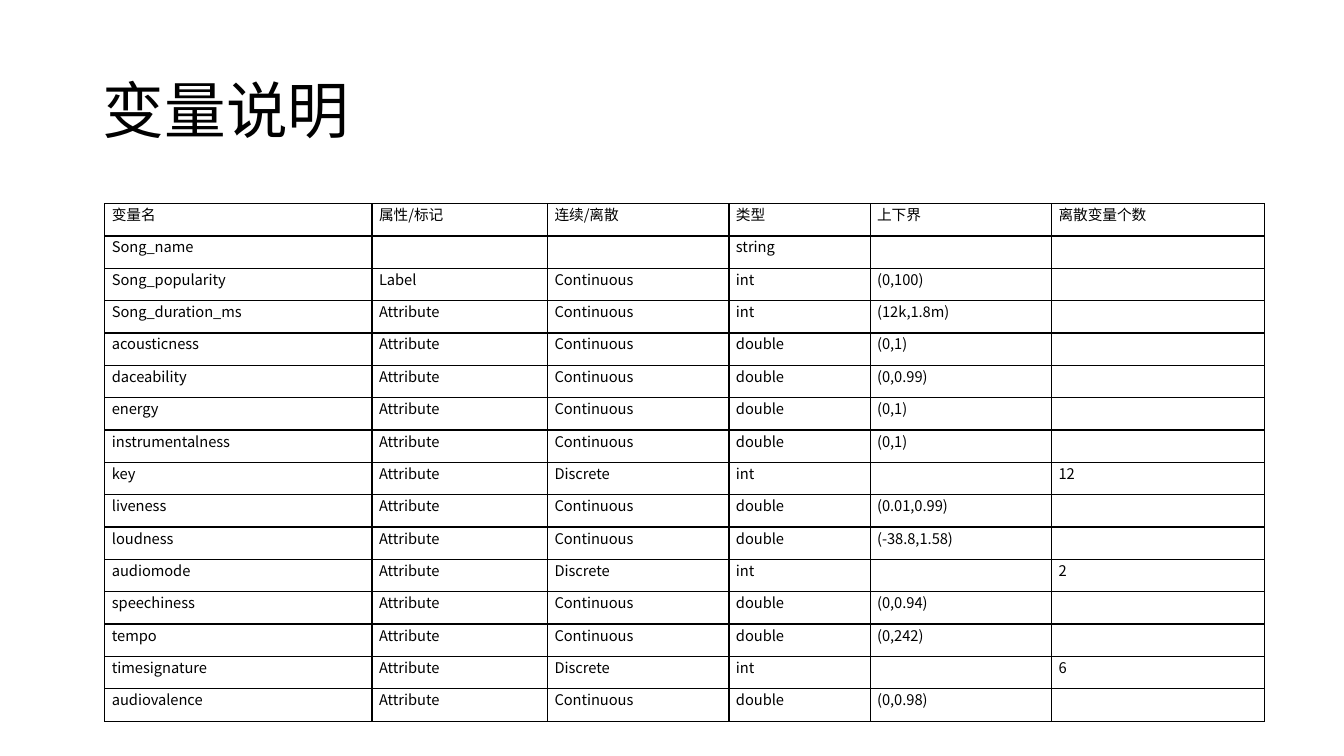
from lxml.etree import SubElement
from pptx import Presentation
from pptx.dml.color import RGBColor
from pptx.enum.text import MSO_ANCHOR as Anchor, PP_ALIGN as Align
from pptx.oxml.ns import qn
from pptx.util import Inches, Pt

BLACK = RGBColor(0x00, 0x00, 0x00)
FONT = "Noto Sans CJK SC"
WIDTH, HEIGHT = 13.33, 7.5
TITLE_BOX = (0.92, 0.4, 11.5, 1.45)
TABLE_BOX = (1.04, 2.02, 11.5, 5.14)
COLUMN_WIDTHS = (2.65, 1.74, 1.8, 1.4, 1.8, 2.11)
HEADINGS = ("变量名", "属性/标记", "连续/离散", "类型", "上下界", "离散变量个数")
VARIABLES = (
    ("Song_name", "", "", "string", "", ""),
    ("Song_popularity", "Label", "Continuous", "int", "(0,100)", ""),
    ("Song_duration_ms", "Attribute", "Continuous", "int", "(12k,1.8m)", ""),
    ("acousticness", "Attribute", "Continuous", "double", "(0,1)", ""),
    ("daceability", "Attribute", "Continuous", "double", "(0,0.99)", ""),
    ("energy", "Attribute", "Continuous", "double", "(0,1)", ""),
    ("instrumentalness", "Attribute", "Continuous", "double", "(0,1)", ""),
    ("key", "Attribute", "Discrete", "int", "", "12"),
    ("liveness", "Attribute", "Continuous", "double", "(0.01,0.99)", ""),
    ("loudness", "Attribute", "Continuous", "double", "(-38.8,1.58)", ""),
    ("audiomode", "Attribute", "Discrete", "int", "", "2"),
    ("speechiness", "Attribute", "Continuous", "double", "(0,0.94)", ""),
    ("tempo", "Attribute", "Continuous", "double", "(0,242)", ""),
    ("timesignature", "Attribute", "Discrete", "int", "", "6"),
    ("audiovalence", "Attribute", "Continuous", "double", "(0,0.98)", ""),
)


def write_text(frame, text, size, align=Align.LEFT, spacing=None):
    """Write one formatted paragraph, keeping the size even when it is empty."""
    para = frame.paragraphs[0]
    para.alignment = align
    para.line_spacing = spacing
    if not text:
        SubElement(para._p, qn("a:endParaRPr"), sz=str(Pt(size).centipoints))
        return
    span = para.add_run()
    span.text = text
    span.font.size = Pt(size)
    span.font.name = FONT
    span.font.color.rgb = BLACK
    SubElement(span._r.get_or_add_rPr(), qn("a:ea"), typeface=FONT)


def draw_borders(cell, color, width):
    """Draw a solid line along all four sides of a cell."""
    props = cell._tc.get_or_add_tcPr()
    for side in ("L", "R", "T", "B"):
        line = SubElement(props, qn(f"a:ln{side}"), w=str(Pt(width)))
        fill = SubElement(line, qn("a:solidFill"))
        SubElement(fill, qn("a:srgbClr"), val=str(color))


def place_title(page, box, text):
    """Move the title placeholder into the box and fill it."""
    title = page.shapes.title
    title.left, title.top, title.width, title.height = map(Inches, box)
    title.text_frame.vertical_anchor = Anchor.MIDDLE
    write_text(title.text_frame, text, size=44, spacing=0.9)


def place_variable_table(page, box, rows):
    """Fill the box with a ruled table of equally high rows."""
    height = box[3] / len(rows)
    table = page.shapes.add_table(len(rows), len(COLUMN_WIDTHS), *map(Inches, box)).table
    table.first_row = table.horz_banding = False
    for column, width in zip(table.columns, COLUMN_WIDTHS):
        column.width = Inches(width)
    for row, values in zip(table.rows, rows):
        row.height = Inches(height)
        for cell, value in zip(row.cells, values):
            cell.margin_left = cell.margin_right = Inches(0.07)
            cell.margin_top = cell.margin_bottom = 0
            draw_borders(cell, BLACK, 1)
            cell.fill.background()
            write_text(cell.text_frame, value, size=10.5, align=Align.JUSTIFY)


def main():
    """Build the deck and save it."""
    deck = Presentation()
    deck.slide_width, deck.slide_height = Inches(WIDTH), Inches(HEIGHT)
    page = deck.slides.add_slide(deck.slide_layouts[5])
    place_title(page, TITLE_BOX, "变量说明")
    place_variable_table(page, TABLE_BOX, (HEADINGS, *VARIABLES))
    deck.save("out.pptx")


if __name__ == "__main__":
    main()
